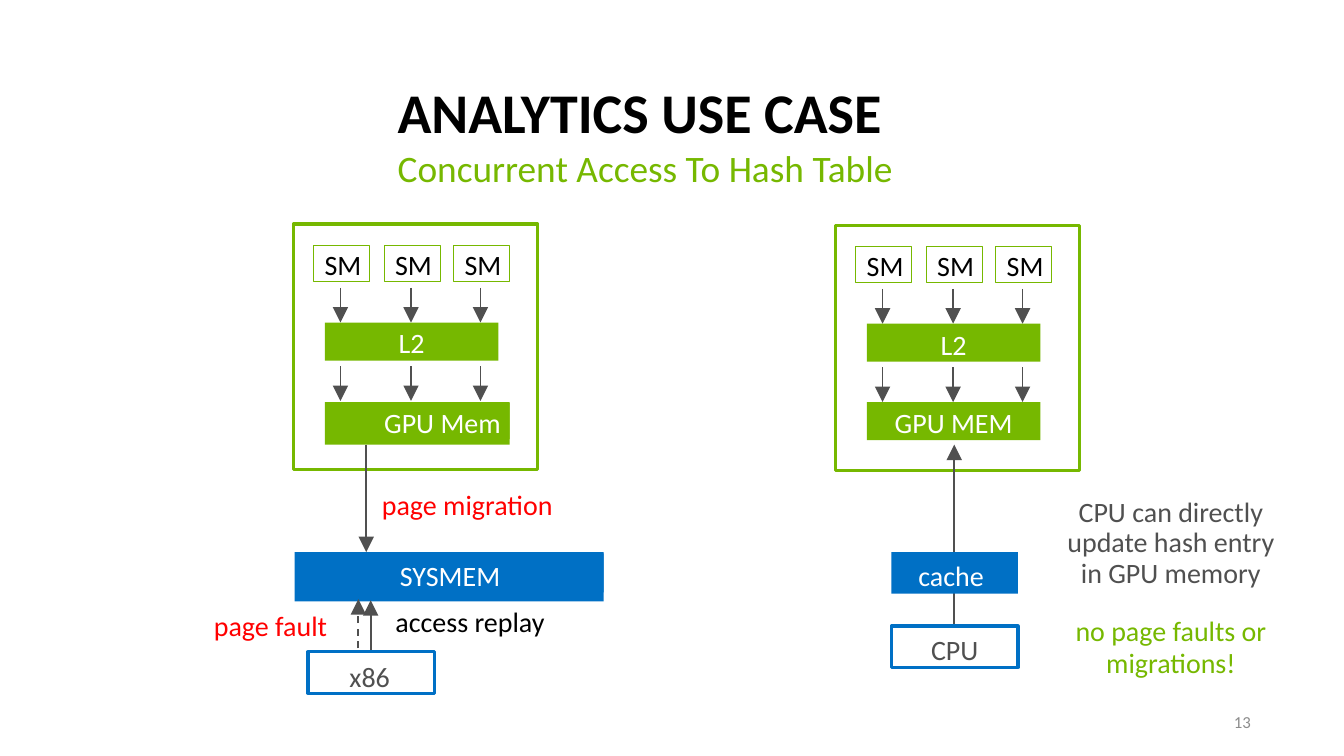
from dataclasses import dataclass

from lxml import etree
from pptx import Presentation
from pptx.dml.color import RGBColor
from pptx.enum.dml import MSO_LINE
from pptx.enum.shapes import MSO_CONNECTOR, MSO_SHAPE
from pptx.enum.text import MSO_ANCHOR, MSO_AUTO_SIZE, PP_ALIGN
from pptx.oxml.ns import qn
from pptx.util import Inches, Pt

RECTANGLE = MSO_SHAPE.RECTANGLE
STRAIGHT = MSO_CONNECTOR.STRAIGHT
DASH = MSO_LINE.DASH
TOP, MIDDLE = MSO_ANCHOR.TOP, MSO_ANCHOR.MIDDLE
NO_AUTOFIT = MSO_AUTO_SIZE.NONE
LEFT, CENTER, RIGHT = PP_ALIGN.LEFT, PP_ALIGN.CENTER, PP_ALIGN.RIGHT


@dataclass(frozen=True)
class Theme:
    """Colours, type sizes and line widths of the deck."""

    font: str = "Calibri"
    green: str = "76B800"
    blue: str = "0070C5"
    gray: str = "505050"
    pale: str = "8C8C8C"
    red: str = "FF0000"
    black: str = "000000"
    white: str = "FFFFFF"
    title: float = 36
    subtitle: float = 24
    body: float = 18
    footer: float = 10.8
    thin: float = 0.48
    arrow: float = 1.15
    thick: float = 2.04


class SlideBuilder:
    """Draws styled elements on one slide."""

    def __init__(self, slide, theme):
        self.slide = slide
        self.theme = theme

    def style(self, paragraph, color, size, align=LEFT, spacing=None, bold=False):
        paragraph.alignment = align
        paragraph.space_before = Pt(0)
        if spacing:
            paragraph.line_spacing = Pt(spacing)
        font = paragraph.font
        font.name, font.size, font.bold = self.theme.font, Pt(size), bold
        font.color.rgb = RGBColor.from_string(color)

    def frame(self, shape, inset_left, inset_top, anchor=TOP):
        frame = shape.text_frame
        frame.word_wrap = True
        frame.auto_size = NO_AUTOFIT
        frame.vertical_anchor = anchor
        frame.margin_left, frame.margin_top = Inches(inset_left), Inches(inset_top)
        frame.margin_right = frame.margin_bottom = 0
        return frame

    def title(self, heading, subheading):
        title = self.slide.shapes.title
        title.left, title.top = Inches(3.5), Inches(0.68)
        title.width, title.height = Inches(4.99), Inches(1.02)
        frame = self.frame(title, 0.01, 0.01, MIDDLE)
        frame.text = f"{heading}\n{subheading}"
        first, second = frame.paragraphs
        first._p.get_or_add_pPr().set("marL", str(Inches(0.04)))
        self.style(first, self.theme.black, self.theme.title, spacing=43, bold=True)
        self.style(second, self.theme.green, self.theme.subtitle, spacing=28.6)

    def text(self, words, left, top, width, height, color, size=None,
             align=LEFT, spacing=None, inset_top=0.01, anchor=TOP):
        box = self.slide.shapes.add_textbox(
            Inches(left), Inches(top), Inches(width), Inches(height))
        frame = self.frame(box, 0.01, inset_top, anchor)
        frame.text = words
        for paragraph in frame.paragraphs:
            self.style(paragraph, color, size or self.theme.body, align, spacing)

    def box(self, left, top, width, height, fill=None, line=None, weight=None,
            words=None, color=None, align=LEFT, inset=(0, 0)):
        box = self.slide.shapes.add_shape(
            RECTANGLE, Inches(left), Inches(top), Inches(width), Inches(height))
        box.shadow.inherit = False
        if fill:
            box.fill.solid()
            box.fill.fore_color.rgb = RGBColor.from_string(fill)
        else:
            box.fill.background()
        if line:
            box.line.color.rgb = RGBColor.from_string(line)
            box.line.width = Pt(weight)
        else:
            box.line.fill.background()
        if words:
            frame = self.frame(box, *inset)
            frame.text = words
            self.style(frame.paragraphs[0], color, self.theme.body, align)

    def arrow(self, x, start, end, dash=None):
        arrow = self.slide.shapes.add_connector(
            STRAIGHT, Inches(x), Inches(start), Inches(x), Inches(end))
        arrow.line.color.rgb = RGBColor.from_string(self.theme.gray)
        arrow.line.width = Pt(self.theme.arrow)
        if dash:
            arrow.line.dash_style = dash
        properties = arrow._element.spPr
        etree.SubElement(properties.find(qn("a:ln")), qn("a:tailEnd"),
                         type="triangle", w="lg", len="lg")
        etree.SubElement(properties, qn("a:effectLst"))

    def gpu(self, left, top):
        theme = self.theme
        self.box(left, top, 2.18, 2.19, line=theme.green, weight=theme.thick)
        for offset in (0.18, 0.81, 1.43):
            self.box(left + offset, top + 0.19, 0.5, 0.32, line=theme.green,
                     weight=theme.thin, words="SM", color=theme.black,
                     inset=(0.1, 0.02))
            for start in (0.57, 1.27):
                self.arrow(left + offset + 0.24, top + start, top + start + 0.31)
        self.box(left + 0.28, top + 0.88, 1.55, 0.34, fill=theme.green, words="L2",
                 color=theme.white, align=CENTER, inset=(0, 0.03))


def main():
    """Build the slide and save the deck."""
    theme = Theme()
    deck = Presentation()
    deck.slide_width, deck.slide_height = Inches(12), Inches(6.75)
    page = SlideBuilder(deck.slides.add_slide(deck.slide_layouts[5]), theme)
    page.title("ANALYTICS USE CASE", "Concurrent Access To Hash Table")

    page.gpu(2.62, 2)
    page.box(2.9, 3.59, 1.65, 0.38, fill=theme.green)
    page.box(3.4, 3.6, 1.15, 0.32, fill=theme.green, words="GPU Mem",
             color=theme.white, inset=(0.03, 0.02))
    page.box(2.63, 4.93, 2.76, 0.44, fill=theme.blue)
    page.box(3.4, 4.94, 1.99, 0.35, fill=theme.blue, words="SYSMEM",
             color=theme.white, inset=(0.17, 0.05))
    page.box(2.75, 5.82, 1.13, 0.37, line=theme.blue, weight=theme.thick,
             words="x86", color=theme.gray, inset=(0.37, 0.07))
    page.arrow(3.27, 3.97, 4.93)
    page.arrow(3.31, 5.8, 5.36)
    page.arrow(3.2, 5.79, 5.35, DASH)
    page.text("page migration", 3.4, 4.34, 1.71, 0.33, theme.red)
    page.text("page fault", 1.9, 5.42, 1.17, 0.33, theme.red)
    page.text("access replay", 3.52, 5.39, 1.52, 0.33, theme.black)

    page.gpu(7.46, 2.01)
    page.box(7.74, 3.59, 1.55, 0.34, fill=theme.green, words="GPU MEM",
             color=theme.white, align=CENTER, inset=(0, 0.03))
    page.arrow(8.52, 5.59, 3.97)
    page.box(7.96, 4.93, 1.13, 0.37, fill=theme.blue, words="cache",
             color=theme.white, inset=(0.24, 0.06))
    page.box(7.96, 5.59, 1.13, 0.37, line=theme.blue, weight=theme.thick,
             words="CPU", color=theme.gray, align=CENTER, inset=(0, 0.06))
    page.text("CPU can directly\vupdate hash entry\vin GPU memory",
              9.42, 4.4, 2.06, 0.87, theme.gray, align=CENTER, spacing=19.4,
              inset_top=0.05)
    page.text("no page faults or\nmigrations!", 9.49, 5.48, 1.92, 0.6, theme.green,
              align=CENTER, spacing=20.6)
    page.text("13", 8.47, 6.26, 2.7, 0.36, theme.pale, theme.footer, RIGHT,
              anchor=MIDDLE)
    deck.save("out.pptx")


if __name__ == "__main__":
    main()
